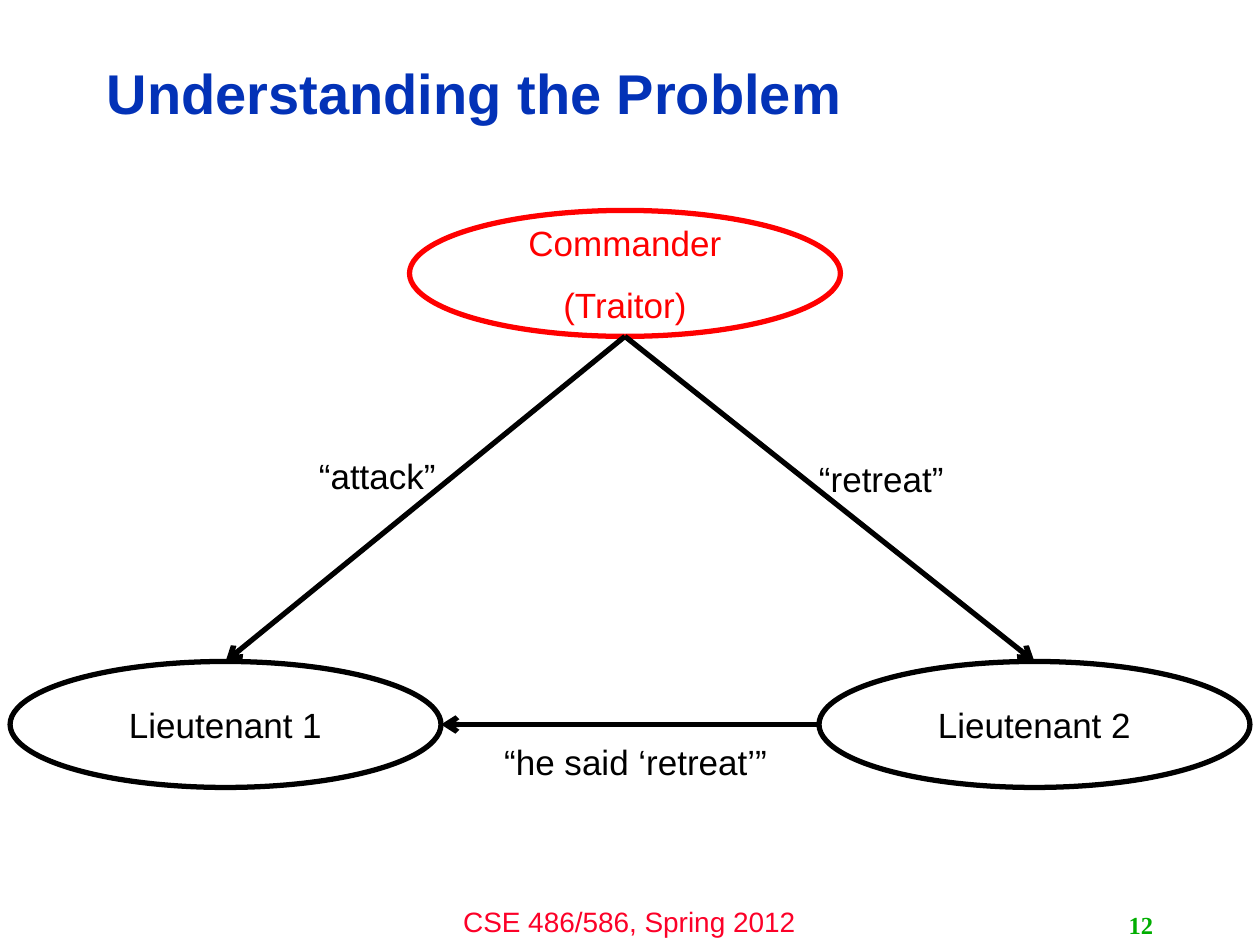
from pptx import Presentation
from pptx.dml.color import RGBColor
from pptx.enum.shapes import MSO_CONNECTOR, MSO_SHAPE
from pptx.enum.text import MSO_ANCHOR, PP_ALIGN
from pptx.oxml.ns import qn
from pptx.util import Inches, Pt
from lxml import etree

LEFT, CENTER, RIGHT = PP_ALIGN.LEFT, PP_ALIGN.CENTER, PP_ALIGN.RIGHT
TOP, MIDDLE = MSO_ANCHOR.TOP, MSO_ANCHOR.MIDDLE
ELLIPSE = MSO_SHAPE.OVAL
STRAIGHT = MSO_CONNECTOR.STRAIGHT

BLACK, RED, WHITE = "000000", "FF0000", "FFFFFF"
NODE_WIDTH, NODE_HEIGHT = 3.42, 1
LINE_WIDTH = 3


def color(value):
    return RGBColor.from_string(value)


def write(shape, text, size=20, font="Arial", fill=BLACK, bold=False,
          align=CENTER, anchor=MIDDLE, line_spacing=None):
    frame = shape.text_frame
    frame.word_wrap = True
    frame.vertical_anchor = anchor
    frame.text = text
    for index, paragraph in enumerate(frame.paragraphs):
        paragraph.alignment = align
        paragraph.line_spacing = line_spacing
        paragraph.space_before = Pt(size * 0.55 if index else 0)
        paragraph.font.name = font
        paragraph.font.size = Pt(size)
        paragraph.font.bold = bold
        paragraph.font.color.rgb = color(fill)


def add_text(slide, box, text, **style):
    shape = slide.shapes.add_textbox(*map(Inches, box))
    write(shape, text, **style)


def add_node(slide, left, top, text, ink=BLACK):
    box = (left, top, NODE_WIDTH, NODE_HEIGHT)
    shape = slide.shapes.add_shape(ELLIPSE, *map(Inches, box))
    shape.shadow.inherit = False
    shape.fill.solid()
    shape.fill.fore_color.rgb = color(WHITE)
    shape.line.color.rgb = color(ink)
    shape.line.width = Pt(LINE_WIDTH)
    write(shape, text, fill=ink)


def add_arrow(slide, start, end):
    connector = slide.shapes.add_connector(STRAIGHT, *map(Inches, start + end))
    connector.line.color.rgb = color(BLACK)
    connector.line.width = Pt(LINE_WIDTH)
    tail = etree.SubElement(connector.line._get_or_add_ln(), qn("a:tailEnd"))
    tail.set("type", "arrow")
    etree.SubElement(connector._element.spPr, qn("a:effectLst"))


def main():
    presentation = Presentation()
    presentation.slide_width = Inches(10)
    presentation.slide_height = Inches(7.5)
    slide = presentation.slides.add_slide(presentation.slide_layouts[6])

    add_text(slide, (3.33, 7.13, 3.33, 0.37), "CSE 486/586, Spring 2012",
             size=16, fill="FC0128", anchor=TOP)
    add_text(slide, (0.75, 0.36, 7.98, 0.81), "Understanding the Problem",
             size=32, fill="0332B7", bold=True, align=LEFT, line_spacing=0.9)
    add_text(slide, (7.17, 7.18, 2.08, 0.32), "12", size=14,
             font="Times New Roman", fill="00AE00", bold=True, align=RIGHT)

    add_node(slide, 3.25, 1.67, "Commander\n(Traitor)", RED)
    add_node(slide, 0.08, 5.25, "Lieutenant 1")
    add_node(slide, 6.5, 5.25, "Lieutenant 2")

    commander_bottom = (4.96, 2.67)
    add_arrow(slide, commander_bottom, (1.79, 5.25))
    add_arrow(slide, commander_bottom, (8.21, 5.25))
    add_arrow(slide, (6.5, 5.75), (3.5, 5.75))

    for left, top, width, message in (
        (2.33, 3.56, 1.33, "“attack”"),
        (6.33, 3.58, 1.33, "“retreat”"),
        (3.67, 5.83, 2.75, "“he said ‘retreat’”"),
    ):
        add_text(slide, (left, top, width, 0.44), message, anchor=TOP)

    presentation.save("out.pptx")


main()
